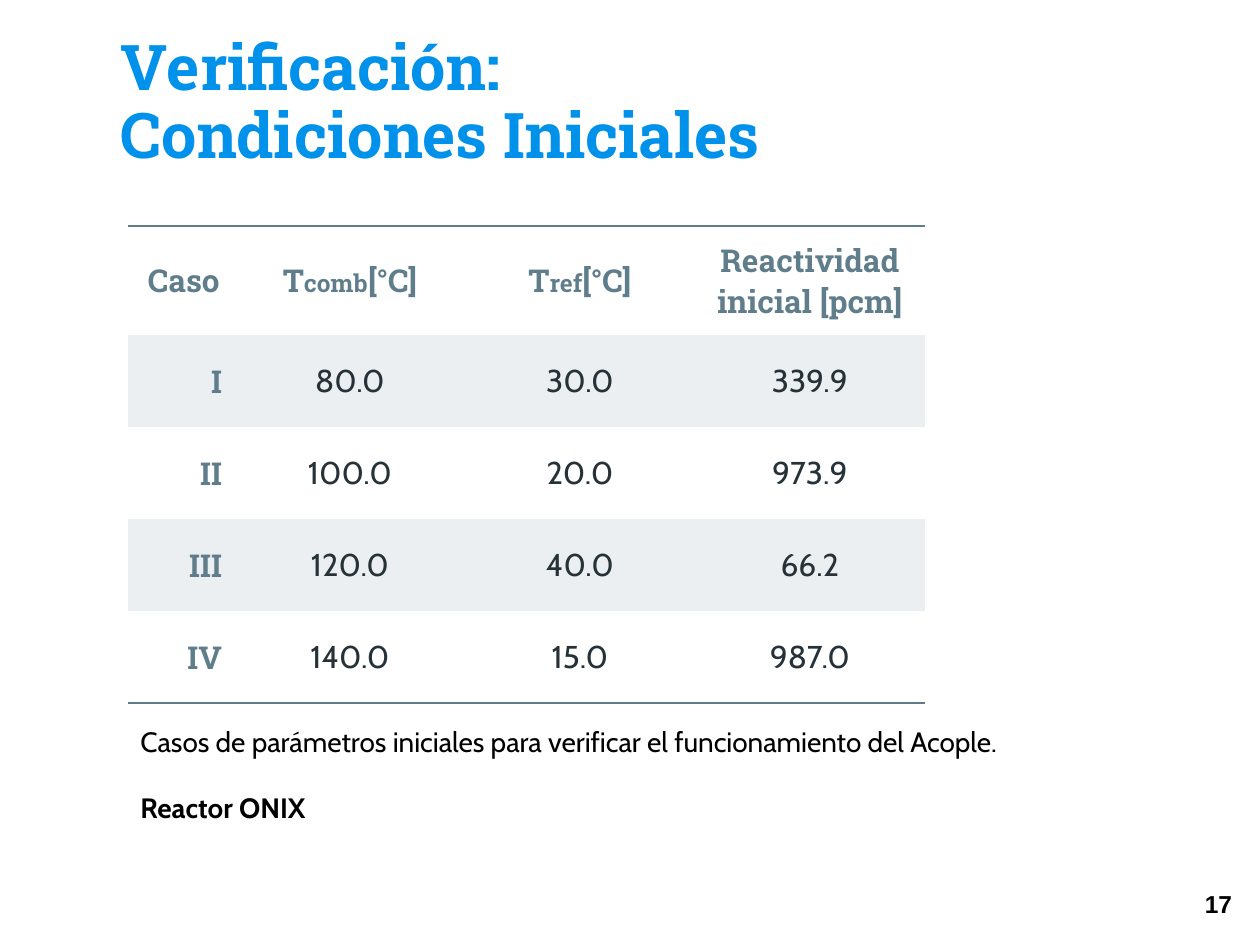
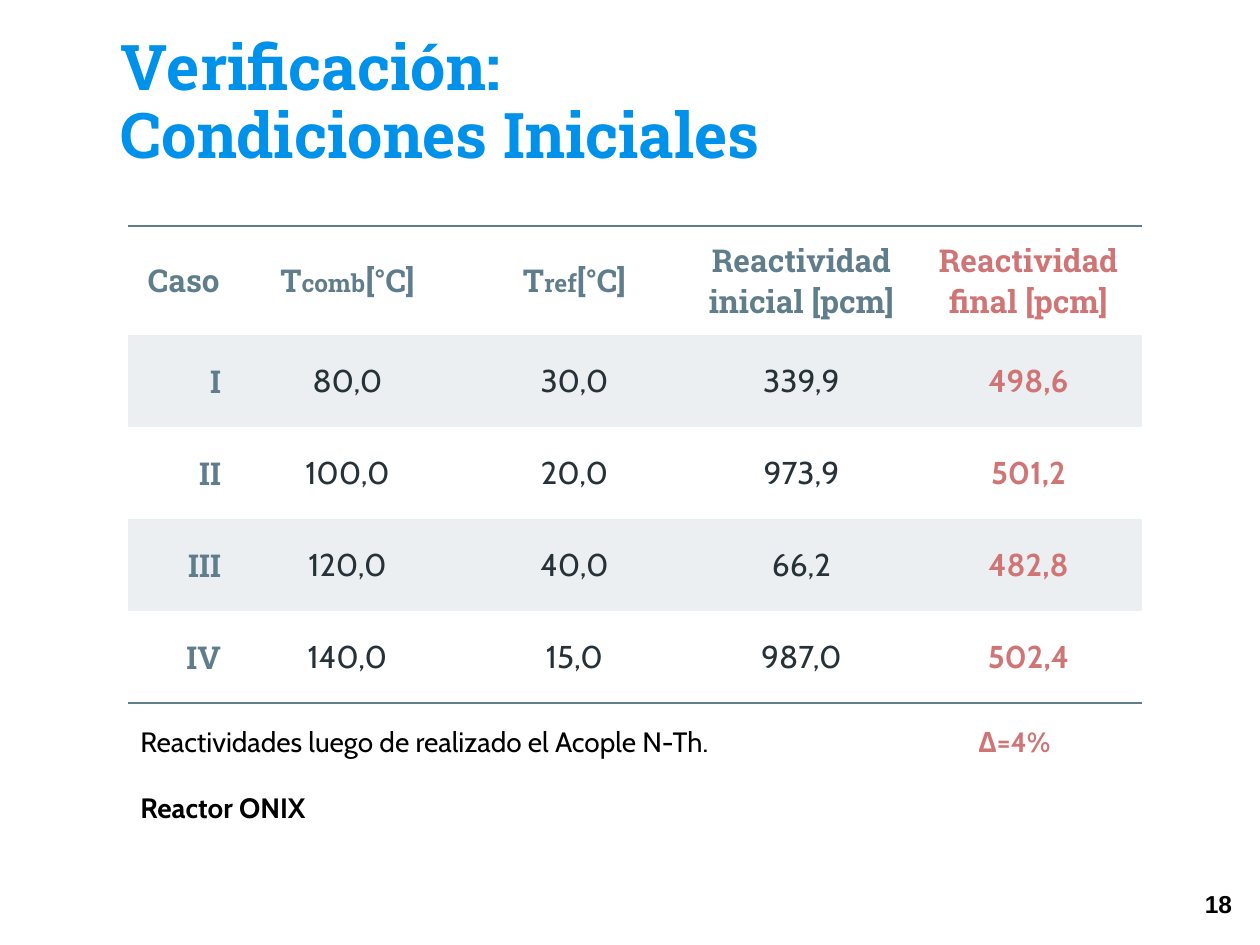
from pptx import Presentation
from pptx import util as u
from pptx.dml.color import RGBColor
from pptx.enum import text
from pptx.oxml import parse_xml
from pptx.oxml.ns import nsdecls, qn

PX = 914400 / 126
BLUE = RGBColor(0x00, 0x91, 0xEA)
SLATE = RGBColor(0x60, 0x7D, 0x8B)
INK = RGBColor(0x26, 0x32, 0x38)
RED = RGBColor(0xD0, 0x75, 0x76)
BAND = RGBColor(0xEC, 0xEF, 0xF1)
BLACK = RGBColor(0x00, 0x00, 0x00)
SLAB, CABIN, ARIAL = "Roboto Slab", "Cabin", "Arial"
NO_STYLE = "{2D5ABB26-0587-4C30-8999-92F81FD0307C}"
LEFT, CENTER, RIGHT = (text.PP_ALIGN.LEFT, text.PP_ALIGN.CENTER,
                       text.PP_ALIGN.RIGHT)

TITLE_BOX = (108, 57, 1044, 128)
TABLE_BOX = (128, 226, 797, 477)
WIDE_TABLE_BOX = (128, 226, 1014, 477)
CAPTION_BOX = (128, 718, 965, 115)
NUMBER_BOX = (1192, 883, 53, 43)
HEADER_HEIGHT = 109
INSET = 13
CASE_INDENT = 20
DELTA_TAB = 838

HEADERS = [["Caso"], ["T", "comb", "[°C]"], ["T", "ref", "[°C]"],
           ["Reactividad inicial [pcm]"], ["Reactividad final [pcm]"]]
CASES = [["I", "80.0", "30.0", "339.9"],
         ["II", "100.0", "20.0", "973.9"],
         ["III", "120.0", "40.0", "66.2"],
         ["IV", "140.0", "15.0", "987.0"]]
FINAL_REACTIVITY = ["498,6", "501,2", "482,8", "502,4"]


def px(length):
    return u.Emu(round(length * PX))


def style(para, face, size, color, bold=False, align=LEFT):
    para.alignment = align
    para.font.name = face
    para.font.size = u.Pt(size)
    para.font.bold = bold
    para.font.color.rgb = color


def add_title(page):
    title = page.shapes.title
    title.left, title.top, title.width, title.height = map(px, TITLE_BOX)
    frame = title.text_frame
    frame.text = "Verificación:\vCondiciones Iniciales"
    frame.auto_size = text.MSO_AUTO_SIZE.NONE
    frame.vertical_anchor = text.MSO_ANCHOR.BOTTOM
    frame.margin_left = frame.margin_right = px(INSET)
    frame.margin_top = frame.margin_bottom = px(INSET)
    para = frame.paragraphs[0]
    para.line_spacing = 0.9
    style(para, SLAB, 36, BLUE, True)


def add_rule(cell, side):
    color = f'<a:solidFill><a:srgbClr val="{SLATE}"/></a:solidFill>'
    line = parse_xml(f'<a:{side} {nsdecls("a")} w="{u.Pt(1.5)}">{color}</a:{side}>')
    cell._tc.get_or_add_tcPr().insert(0, line)


def fill_cell(cell, parts, row, column):
    cell.vertical_anchor = text.MSO_ANCHOR.MIDDLE
    cell.margin_left = cell.margin_right = px(INSET)
    cell.margin_top = cell.margin_bottom = px(INSET)
    para = cell.text_frame.paragraphs[0]
    for index, part in enumerate(parts):
        span = para.add_run()
        span.text = part
        if index == 1:
            span.font.size = u.Pt(14)
    is_label = row == 0 or column == 0
    is_final = column == 4
    color = RED if is_final else SLATE if is_label else INK
    align = CENTER if column else RIGHT if row else LEFT
    style(para, SLAB if is_label else CABIN, 18, color,
          is_label or is_final, align)
    if row % 2:
        cell.fill.solid()
        cell.fill.fore_color.rgb = BAND
    else:
        cell.fill.background()


def add_case_table(page, box, rows, case_width):
    left, top, width, height = box
    count = len(rows[0])
    holder = page.shapes.add_table(len(rows), count, *map(px, box))
    holder.element.find(".//" + qn("a:tableStyleId")).text = NO_STYLE
    table = holder.table
    table.first_row = table.horz_banding = False
    for index, column in enumerate(table.columns):
        column.width = px((width - case_width) / (count - 1) if index else case_width)
    for index, row in enumerate(table.rows):
        row.height = px((height - HEADER_HEIGHT) / (len(rows) - 1)
                        if index else HEADER_HEIGHT)
    for row, values in enumerate(rows):
        for column, parts in enumerate(values):
            fill_cell(table.cell(row, column), parts, row, column)
    table.cell(0, 0).margin_left = px(CASE_INDENT)
    for column in range(count):
        add_rule(table.cell(0, column), "lnT")
        add_rule(table.cell(len(rows) - 1, column), "lnB")


def add_text_box(page, box, wrap):
    frame = page.shapes.add_textbox(*map(px, box)).text_frame
    frame.word_wrap = wrap
    return frame


def add_caption(page, caption, delta):
    frame = add_text_box(page, CAPTION_BOX, True)
    para = frame.paragraphs[0]
    para.add_run().text = caption
    if delta:
        span = para.add_run()
        span.text = "\t" + delta
        span.font.bold = True
        span.font.color.rgb = RED
        para._p.get_or_add_pPr().append(parse_xml(
            f'<a:tabLst {nsdecls("a")}><a:tab pos="{px(DELTA_TAB)}" algn="l"/></a:tabLst>'))
    style(para, CABIN, 16, BLACK)
    reactor = frame.add_paragraph()
    reactor.text = "Reactor ONIX"
    reactor.space_before = u.Pt(19)
    style(reactor, CABIN, 16, BLACK, True)


def add_page_number(page, number):
    para = add_text_box(page, NUMBER_BOX, False).paragraphs[0]
    para.text = str(number)
    style(para, ARIAL, 14, BLACK, True, CENTER)


def add_case_page(deck, number, box, rows, case_width, caption, delta=None):
    page = deck.slides.add_slide(deck.slide_layouts[5])
    add_case_table(page, box, rows, case_width)
    add_title(page)
    add_caption(page, caption, delta)
    add_page_number(page, number)


def main():
    deck = Presentation()
    deck.slide_width, deck.slide_height = px(1260), px(945)
    initial = [HEADERS[:4]] + [[[value] for value in case] for case in CASES]
    final = [HEADERS] + [
        [[value.replace(".", ",")] for value in case + [result]]
        for case, result in zip(CASES, FINAL_REACTIVITY)]
    add_case_page(deck, 17, TABLE_BOX, initial, 107,
                  "Casos de parámetros iniciales para verificar "
                  "el funcionamiento del Acople.")
    add_case_page(deck, 18, WIDE_TABLE_BOX, final, 106,
                  "Reactividades luego de realizado el Acople N-Th.", "Δ=4%")
    deck.save("out.pptx")


if __name__ == "__main__":
    main()
